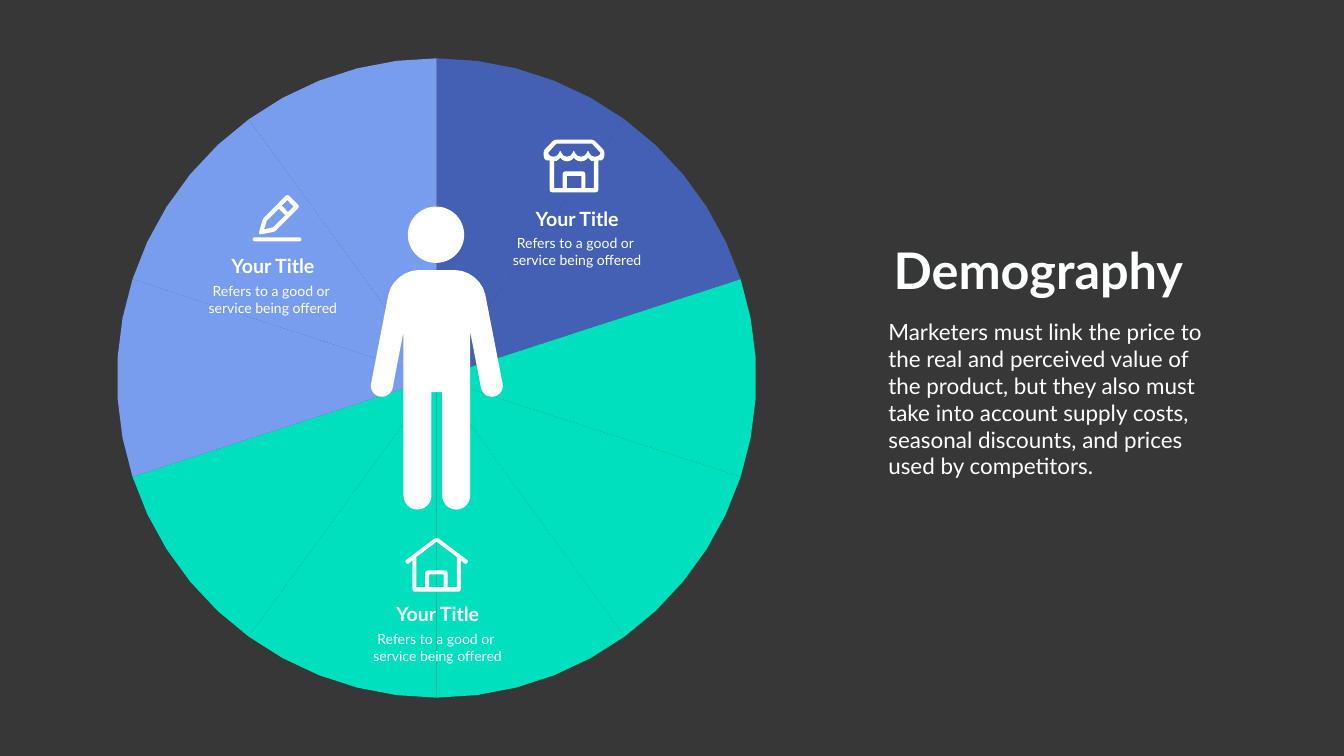
from math import cos, dist, radians, sin

from pptx import Presentation
from pptx.dml.color import RGBColor
from pptx.enum.shapes import MSO_SHAPE
from pptx.enum.text import PP_ALIGN
from pptx.util import Cm, Pt

OVAL, PILL = MSO_SHAPE.OVAL, MSO_SHAPE.ROUNDED_RECTANGLE
LEFT, CENTER = PP_ALIGN.LEFT, PP_ALIGN.CENTER

FONT = "Lato"
BACKGROUND, WHITE, SOFT_WHITE = "373737", "FFFFFF", "FEFFFF"
NAVY, TEAL, SKY = "4460B4", "00DFBE", "799DEE"

HEADLINE = "Demography"
SUMMARY = (
    "Marketers must link the price to the real and perceived value of the "
    "product, but they also must take into account supply costs, seasonal "
    "discounts, and prices used by competitors."
)
TOPIC_TITLE = "Your Title"
TOPIC_LINES = ["Refers to a good or ", "service being offered"]
TOPIC_CORNERS = [(10.09, 14.1), (25.42, 11.71), (18.39, 31.65)]  # caption left, top

# Sectors run clockwise from twelve o'clock. Lengths are in centimetres.
SECTOR_COLORS = [NAVY] * 2 + [TEAL] * 5 + [SKY] * 3
WHEEL_CENTER = (22, 19.05)
WHEEL_RADIUS = 16.11
ARC_STEPS = 5

# Outlines are lists of corners: x, y and, where the corner is rounded, a radius.
PERSON_ORIGIN = (22.01, 13.61)
PERSON_HALF = [
    (2.2, 0, 1.28), (3.42, 6.27, 0.55), (2.33, 6.48, 0.55), (1.68, 3.1),
    (1.68, 12.07, 0.7), (0.27, 12.07, 0.7), (0.27, 6.15),
]

AWNING_PEAKS = [2.24, 1.52, 0.84]
AWNING_SCALLOPS = [
    corner
    for peak in AWNING_PEAKS
    for corner in [
        (peak + 0.12, 0.86, 0.25), (peak, 0.48, 0.15), (peak - 0.12, 0.86, 0.25),
    ]
]
SHOP = [
    [(0, 0.55, 0.1), (0.54, 0, 0.1), (2.52, 0, 0.1), (3.06, 0.55, 0.1),
     (3.06, 1.04, 0.35), (2.76, 1.04), (2.76, 2.65, 0.12), (0.3, 2.65, 0.12),
     (0.3, 1.04), (0, 1.04, 0.35)],
    [(1.17, 1.83), (1.9, 1.83), (1.9, 2.44), (1.17, 2.44)],
    [(2.1, 2.44), (2.1, 1.6, 0.12), (0.96, 1.6, 0.12), (0.96, 2.44),
     (0.53, 2.44), (0.53, 1.07), (0.66, 1.07), (0.84, 0.91),
     (1.02, 1.09, 0.15), (1.35, 1.09, 0.15), (1.52, 0.91),
     (1.7, 1.09, 0.15), (2.06, 1.09, 0.15), (2.24, 0.91),
     (2.4, 1.07), (2.54, 1.07), (2.54, 2.44)],
    [(0.23, 0.66), (0.64, 0.2), (2.44, 0.2), (2.87, 0.66), (2.78, 0.86, 0.2)]
    + AWNING_SCALLOPS + [(0.32, 0.86, 0.2)],
]
PENCIL = [
    [(1.42, -0.05, 0.12), (2.05, 0.58, 0.12), (0.78, 1.85, 0.08),
     (-0.04, 2, 0.12), (0.18, 1.21, 0.08)],
    [(1.42, 0.25), (1.73, 0.58), (1.45, 0.86), (1.14, 0.53)],
    [(0.38, 1.3), (0.99, 0.69), (1.32, 1.02), (0.69, 1.63), (0.25, 1.73)],
]
HOUSE = [
    [(1.6, -0.04, 0.15), (3.22, 1.18, 0.1), (3.07, 1.36, 0.1), (2.82, 1.14),
     (2.82, 2.72, 0.12), (0.38, 2.72, 0.12), (0.38, 1.14), (0.13, 1.36, 0.1),
     (-0.02, 1.18, 0.1)],
    [(1.22, 1.85), (1.96, 1.85), (1.96, 2.49), (1.22, 2.49)],
    [(2.62, 2.49), (2.16, 2.49), (2.16, 1.65, 0.12), (1.02, 1.65, 0.12),
     (1.02, 2.49), (0.58, 2.49), (0.58, 0.97), (1.6, 0.2), (2.62, 0.97)],
]
ICONS = [(SHOP, (27.39, 7.04)), (PENCIL, (13.06, 9.83)), (HOUSE, (20.4, 27.1))]


def rgb(value):
    return RGBColor.from_string(value)


def paint(shape, color):
    shape.fill.solid()
    shape.fill.fore_color.rgb = rgb(color)
    shape.line.fill.background()
    shape.shadow.inherit = False


def round_corners(corners):
    """Return the outline's points, each rounded corner drawn as a cubic curve."""
    points = []
    for i, (x, y, *radius) in enumerate(corners):
        if not radius:
            points.append((x, y))
            continue
        steps = 6 if radius[0] > 0.5 else 2
        ends = []
        for neighbour in (corners[i - 1], corners[(i + 1) % len(corners)]):
            length = dist((x, y), neighbour[:2])
            share = min(radius[0] / length, 0.5)
            ends.append(((neighbour[0] - x) * share, (neighbour[1] - y) * share))
        (ax, ay), (bx, by) = ends
        for step in range(steps + 1):
            t = step / steps
            before = (1 - t) ** 3 + 1.35 * t * (1 - t) ** 2
            after = t ** 3 + 1.35 * t ** 2 * (1 - t)
            points.append((x + ax * before + bx * after, y + ay * before + by * after))
    return points


def add_outline(shapes, contours, origin, color):
    """Draw one filled freeform; contours after the first cut holes."""
    builder = None
    for contour in contours:
        start, *rest = [(Cm(x), Cm(y)) for x, y in round_corners(contour)]
        if builder is None:
            builder = shapes.build_freeform(*start)
        else:
            builder.move_to(*start)
        builder.add_line_segments(rest)
    paint(builder.convert_to_shape(Cm(origin[0]), Cm(origin[1])), color)


def add_preset(shapes, kind, box, color):
    shape = shapes.add_shape(kind, *map(Cm, box))
    paint(shape, color)
    return shape


def add_text(shapes, lines, box, size, color, bold=False, align=CENTER, wrap=True):
    frame = shapes.add_textbox(*map(Cm, box)).text_frame
    frame.word_wrap = wrap
    frame.text = "\n".join(lines)
    for paragraph in frame.paragraphs:
        paragraph.alignment = align
        paragraph.font.name = FONT
        paragraph.font.size = Pt(size)
        paragraph.font.bold = bold
        paragraph.font.color.rgb = rgb(color)


def add_wheel(shapes):
    sweep = 360 / len(SECTOR_COLORS)
    for i, color in enumerate(SECTOR_COLORS):
        angles = [radians(sweep * (i + s / ARC_STEPS)) for s in range(ARC_STEPS + 1)]
        arc = [(WHEEL_RADIUS * sin(a), -WHEEL_RADIUS * cos(a)) for a in angles]
        add_outline(shapes, [[(0, 0)] + arc], WHEEL_CENTER, color)


def add_person(shapes):
    mirrored = [(-x, *rest) for x, *rest in reversed(PERSON_HALF)]
    add_outline(shapes, [PERSON_HALF + mirrored], PERSON_ORIGIN, WHITE)
    add_preset(shapes, OVAL, (20.55, 10.41, 2.84, 2.84), WHITE)


def main():
    prs = Presentation()
    prs.slide_width, prs.slide_height = Cm(67.72), Cm(38.1)
    slide = prs.slides.add_slide(prs.slide_layouts[6])
    slide.background.fill.solid()
    slide.background.fill.fore_color.rgb = rgb(BACKGROUND)
    shapes = slide.shapes

    add_wheel(shapes)
    add_person(shapes)
    for contours, origin in ICONS:
        add_outline(shapes, contours, origin, WHITE)
    pencil_line = add_preset(shapes, PILL, (12.73, 11.96, 2.46, 0.2), WHITE)
    pencil_line.adjustments[0] = 0.5

    add_text(shapes, [HEADLINE], (44.61, 11.94, 15.42, 3.33), 72, SOFT_WHITE,
             bold=True, wrap=False)
    add_text(shapes, [SUMMARY], (44.51, 15.91, 17.32, 8.46), 32, SOFT_WHITE, align=LEFT)
    for left, top in TOPIC_CORNERS:
        add_text(shapes, TOPIC_LINES, (left, top, 7.32, 1.96), 20, WHITE)
        add_text(shapes, [TOPIC_TITLE], (left + 1.21, top - 1.42, 4.9, 1.45), 28, WHITE,
                 bold=True)

    prs.save("out.pptx")


if __name__ == "__main__":
    main()
